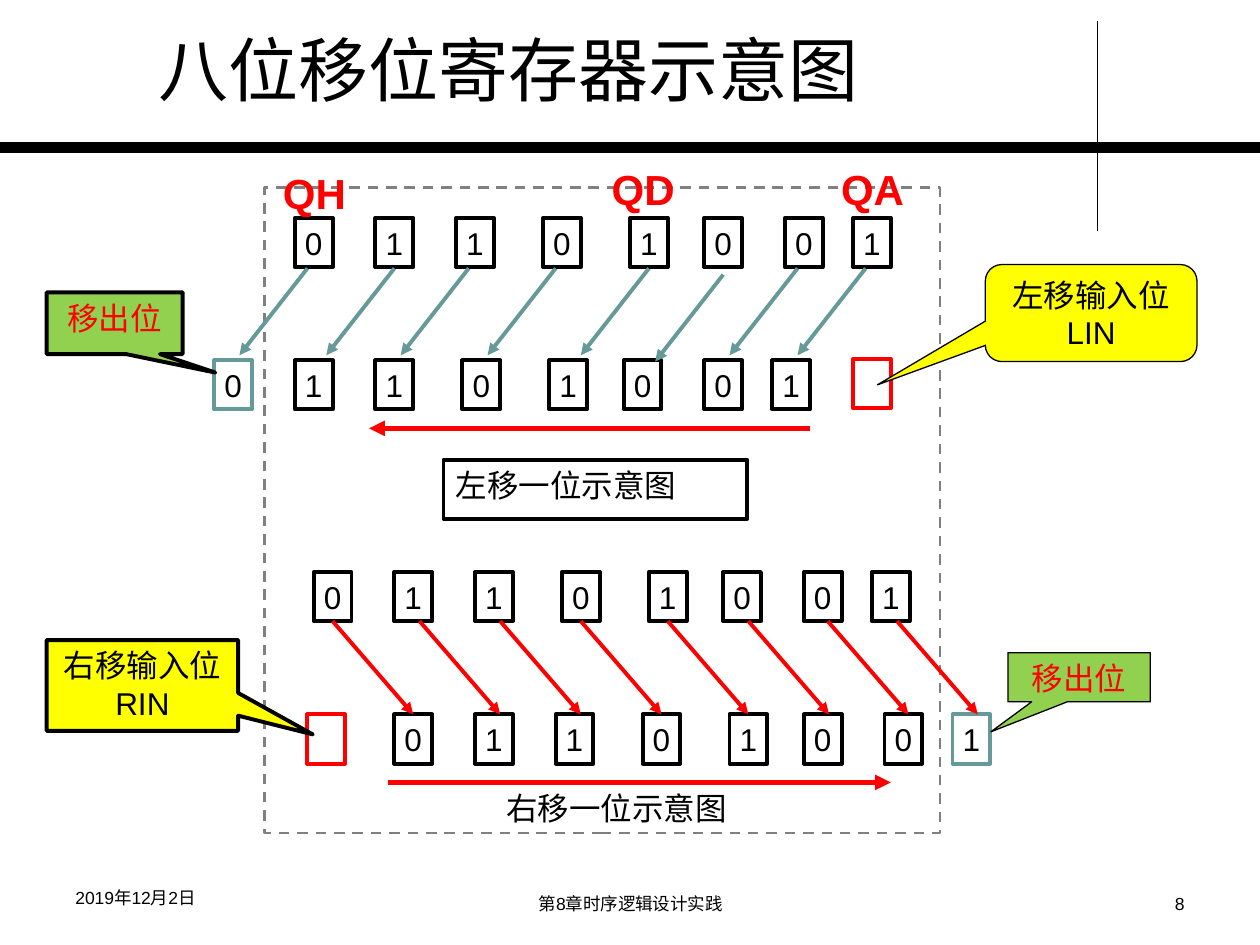
from dataclasses import dataclass
from typing import Optional

from pptx import Presentation
from pptx.dml.color import RGBColor
from pptx.enum.dml import MSO_LINE
from pptx.enum.shapes import MSO_CONNECTOR, MSO_SHAPE as Preset
from pptx.enum.text import MSO_ANCHOR as Anchor, MSO_AUTO_SIZE as AutoSize, PP_ALIGN as Align
from pptx.oxml.ns import qn
from pptx.util import Inches, Pt

BLACK = RGBColor(0x00, 0x00, 0x00)
RED = RGBColor(0xFF, 0x00, 0x00)
TEAL = RGBColor(0x66, 0x99, 0x99)
GRAY = RGBColor(0x80, 0x80, 0x80)
YELLOW = RGBColor(0xFF, 0xFF, 0x00)
GREEN = RGBColor(0x92, 0xD0, 0x50)

BITS = "01101001"
BIT_LEFTS = (2.34, 2.98, 3.62, 4.31, 5.0, 5.59, 6.23, 6.77)
BIT_WIDTH, BIT_HEIGHT = 0.3, 0.39


@dataclass
class Shift:
    """One register before and after a shift by one place."""
    before_top: float
    after_top: float
    before_offset: float
    after_offset: float
    out_index: int
    input_left: float
    input_top: float
    arrow_starts: tuple
    arrow_top: float
    arrow_dx: float
    arrow_dy: float
    arrow_color: RGBColor


@dataclass
class Callout:
    preset: Preset
    box: tuple
    adjustments: tuple
    lines: tuple
    fill: RGBColor
    line_width: float
    color: RGBColor = BLACK


@dataclass
class Label:
    text: str
    box: tuple
    size: float
    align: Align = Align.LEFT
    color: RGBColor = BLACK
    bold: bool = False
    wrap: bool = True


SHIFTS = (
    Shift(1.73, 2.86, 0, -0.64, 0, 6.77, 2.85,
          (2.44, 3.13, 3.72, 4.41, 5.15, 5.74, 6.33, 6.87),
          2.13, -0.54, 0.69, TEAL),
    Shift(4.54, 5.67, 0.15, 0.79, 7, 2.44, 5.67,
          (2.64, 3.33, 3.97, 4.61, 5.3, 5.94, 6.57, 7.12),
          4.93, 0.64, 0.74, RED),
)
LOWERED_ARROW = 5.74  # this arrow of the left shift sits slightly lower

CALLOUTS = (
    Callout(Preset.ROUNDED_RECTANGULAR_CALLOUT, (7.82, 2.1, 1.68, 0.77),
            (-1.01, 0.74, 0.17), ("左移输入位", "LIN"), YELLOW, 0.75),
    Callout(Preset.RECTANGULAR_CALLOUT, (0.37, 2.32, 1.08, 0.49),
            (0.74, 0.8), ("移出位",), GREEN, 2.25, RED),
    Callout(Preset.RECTANGULAR_CALLOUT, (0.37, 5.08, 1.52, 0.72),
            (0.89, 0.54), ("右移输入位", "RIN"), YELLOW, 2.25),
    Callout(Preset.RECTANGULAR_CALLOUT, (8, 5.18, 1.13, 0.39),
            (-0.62, 1.11), ("移出位",), GREEN, 0.75, RED),
)

LABELS = (
    Label("右移一位示意图", (3.92, 6.21, 2.41, 0.43), 18),
    Label("QH", (2.14, 1.28, 0.71, 0.5), 24, Align.CENTER, RED, True, False),
    Label("QA", (6.57, 1.25, 0.71, 0.5), 24, Align.CENTER, RED, True, False),
    Label("QD", (4.75, 1.25, 0.71, 0.5), 24, Align.CENTER, RED, True, False),
    Label("8", (7.17, 7.04, 2.33, 0.29), 10, Align.RIGHT),
    Label("第8章时序逻辑设计实践", (3.42, 7.04, 3.17, 0.29), 10, Align.CENTER),
    Label("2019年12月2日", (0.5, 6.99, 2.33, 0.34), 10),
)


def write(frame, lines: tuple, size: float, align: Align, color: RGBColor,
          bold: bool = False, wrap: bool = True, anchor: Anchor = Anchor.TOP) -> None:
    frame.word_wrap = wrap
    frame.vertical_anchor = anchor
    for index, line in enumerate(lines):
        paragraph = frame.add_paragraph() if index else frame.paragraphs[0]
        paragraph.alignment = align
        run = paragraph.add_run()
        run.text = line
        run.font.name = "Arial"
        run.font.size = Pt(size)
        run.font.bold = bold
        run.font.color.rgb = color


def add_box(shapes, box: tuple, color: RGBColor, width: float = 2.25,
            preset: Preset = Preset.RECTANGLE, fill: Optional[RGBColor] = None):
    shape = shapes.add_shape(preset, *map(Inches, box))
    shape.shadow.inherit = False
    if fill is None:
        shape.fill.background()
    else:
        shape.fill.solid()
        shape.fill.fore_color.rgb = fill
    shape.line.color.rgb = color
    shape.line.width = Pt(width)
    return shape


def add_line(shapes, start: tuple, end: tuple, color: RGBColor, width: float,
             arrow: bool = True) -> None:
    line = shapes.add_connector(MSO_CONNECTOR.STRAIGHT, *map(Inches, start + end))
    line.line.color.rgb = color
    line.line.width = Pt(width)
    if arrow:
        outline = line.line._get_or_add_ln()
        outline.append(outline.makeelement(qn("a:tailEnd"), {"type": "triangle"}))
    properties = line._element.spPr
    properties.append(properties.makeelement(qn("a:effectLst"), {}))


def add_bit(shapes, left: float, top: float, bit: str, color: RGBColor) -> None:
    box = add_box(shapes, (left, top, BIT_WIDTH, BIT_HEIGHT), color)
    write(box.text_frame, (bit,), 18, Align.CENTER, BLACK, wrap=False, anchor=Anchor.MIDDLE)


def add_shift(shapes, shift: Shift) -> None:
    for index, (left, bit) in enumerate(zip(BIT_LEFTS, BITS)):
        add_bit(shapes, left + shift.before_offset, shift.before_top, bit, BLACK)
        add_bit(shapes, left + shift.after_offset, shift.after_top, bit,
                TEAL if index == shift.out_index else BLACK)
    add_box(shapes, (shift.input_left, shift.input_top, BIT_WIDTH, BIT_HEIGHT), RED)
    for x in shift.arrow_starts:
        y = shift.arrow_top + (0.05 if x == LOWERED_ARROW else 0)
        add_line(shapes, (x, y), (x + shift.arrow_dx, y + shift.arrow_dy),
                 shift.arrow_color, 2.25)


def add_callout(shapes, callout: Callout) -> None:
    shape = add_box(shapes, callout.box, BLACK, callout.line_width,
                    callout.preset, callout.fill)
    for index, value in enumerate(callout.adjustments):
        shape.adjustments[index] = value
    write(shape.text_frame, callout.lines, 18, Align.CENTER, callout.color)


def add_label(shapes, label: Label) -> None:
    frame = shapes.add_textbox(*map(Inches, label.box)).text_frame
    write(frame, (label.text,), label.size, label.align, label.color, label.bold, label.wrap)


def main() -> None:
    deck = Presentation()
    deck.slide_width, deck.slide_height = Inches(10), Inches(7.5)
    slide = deck.slides.add_slide(deck.slide_layouts[5])
    shapes = slide.shapes

    # Title and its rules
    title = shapes.title
    title.left, title.top, title.width, title.height = map(Inches, (1.16, 0.16, 6.15, 0.77))
    write(title.text_frame, ("八位移位寄存器示意图",), 40, Align.LEFT, BLACK)
    title.text_frame.auto_size = AutoSize.NONE
    add_line(shapes, (8.71, 0.17), (8.71, 1.83), BLACK, 0.75, arrow=False)
    add_line(shapes, (0, 1.17), (10, 1.17), BLACK, 6, arrow=False)

    # Register outline and both shifts
    register = add_box(shapes, (2.1, 1.49, 5.36, 5.12), GRAY, 1.5)
    register.line.dash_style = MSO_LINE.DASH
    for shift in SHIFTS:
        add_shift(shapes, shift)

    # Captions, callouts and footer
    left_caption = add_box(shapes, (3.52, 3.65, 2.41, 0.47), BLACK)
    write(left_caption.text_frame, ("左移一位示意图",), 18, Align.LEFT, BLACK)
    for callout in CALLOUTS:
        add_callout(shapes, callout)
    for label in LABELS:
        add_label(shapes, label)

    # Shift directions
    add_line(shapes, (6.43, 3.4), (2.93, 3.4), RED, 3)
    add_line(shapes, (3.08, 6.21), (7.07, 6.21), RED, 3)

    deck.save("out.pptx")


if __name__ == "__main__":
    main()
